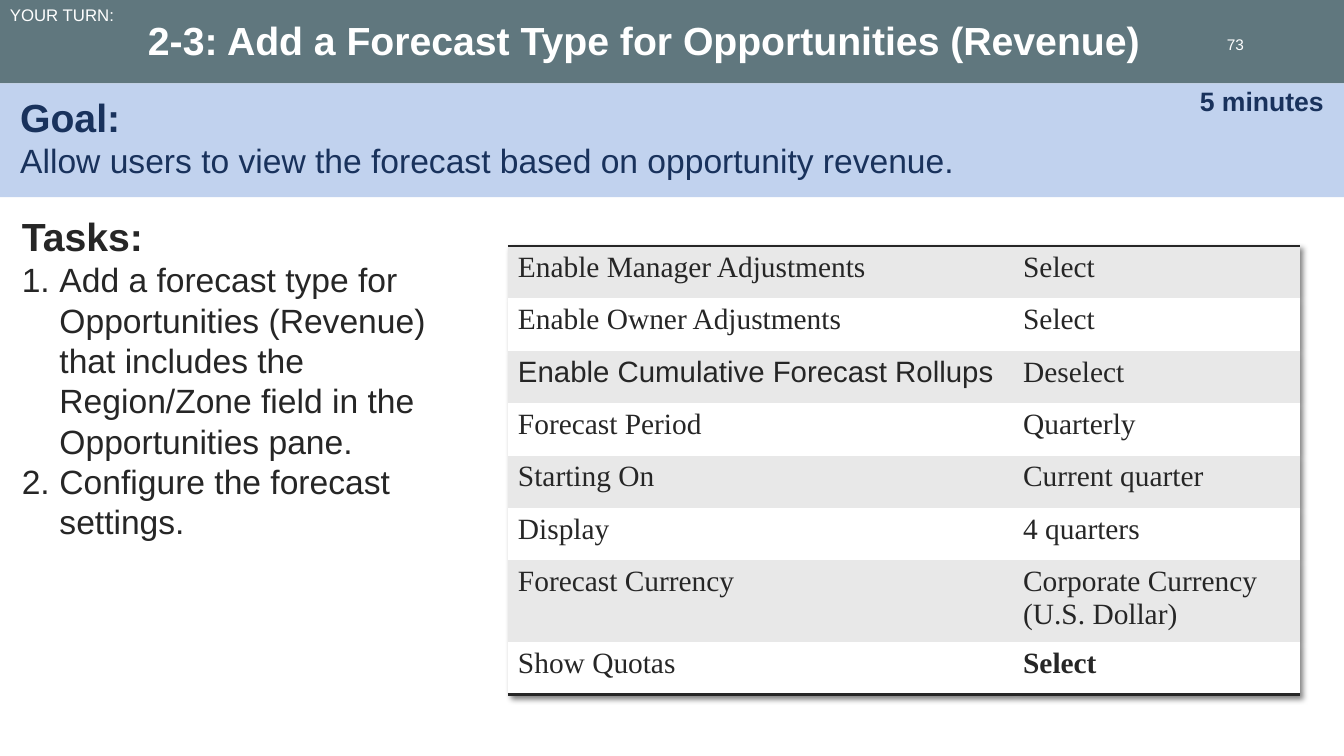
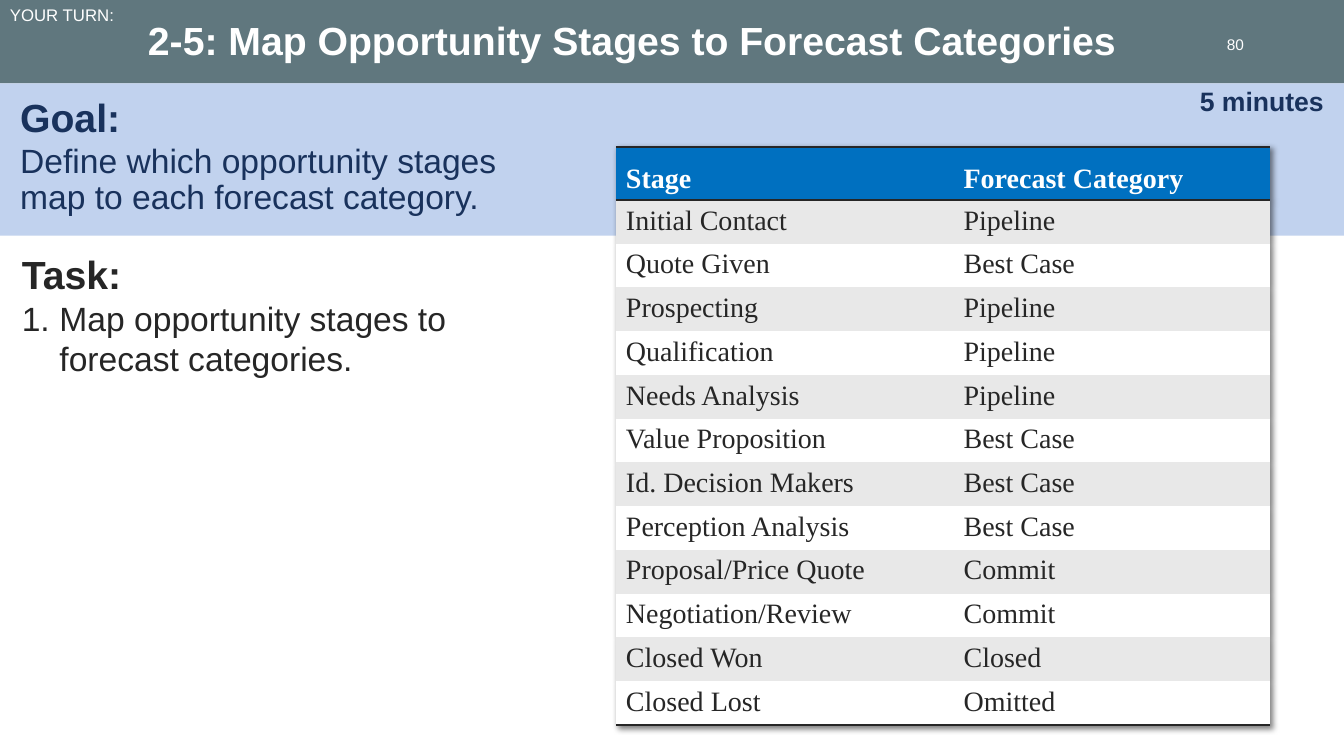
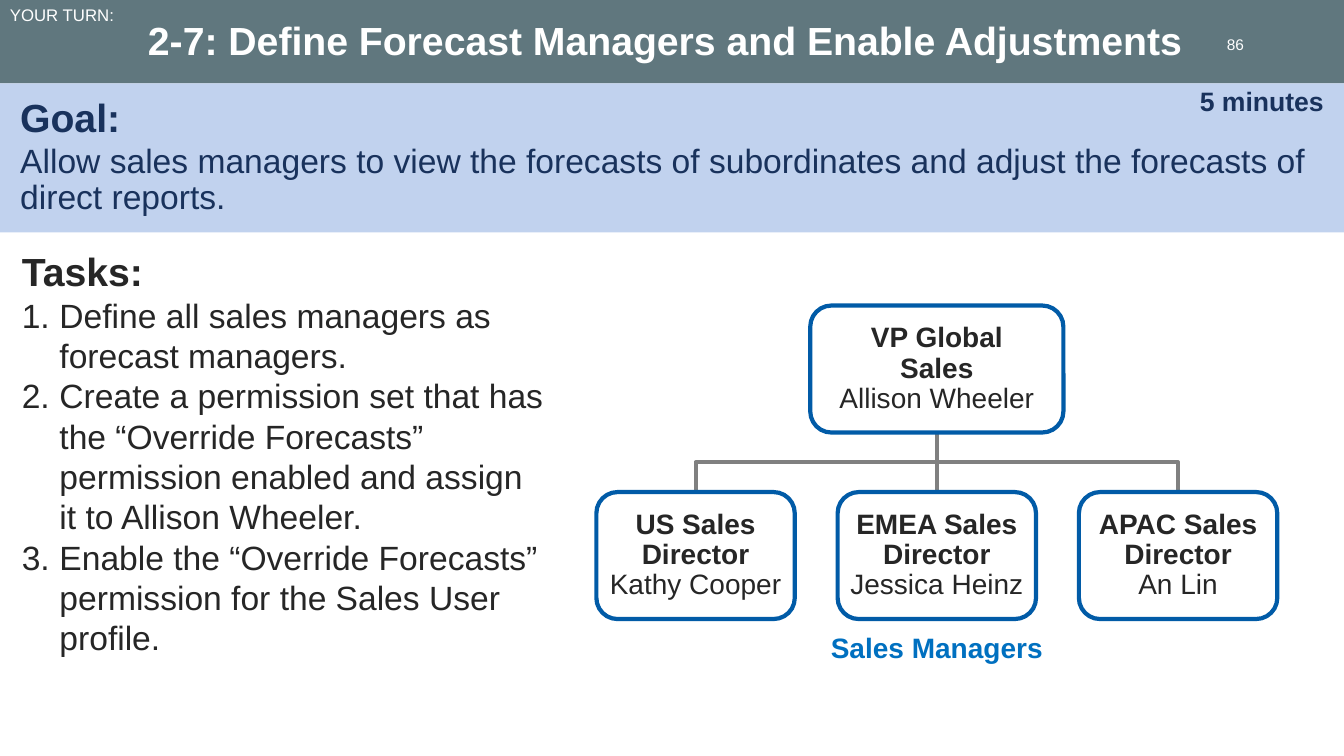
from dataclasses import dataclass
from typing import NamedTuple

from lxml import etree
from pptx import Presentation
from pptx import util as u
from pptx.dml.color import RGBColor
from pptx.enum import shapes, text
from pptx.oxml.ns import qn

SLATE, PALE_BLUE, NAVY = "60777E", "C1D2EE", "19325C"
INK, WHITE, STRIPE = "262626", "FFFFFF", "E8E8E8"
HEADER_BLUE, BOX_BLUE, GREY = "0070C0", "015BA7", "808080"
SANS, SERIF = "Arial", "Times New Roman"
SLIDE_W, SLIDE_H, HEADER_H = 33.87, 19.05, 2.1
NO_STYLE = "{2D5ABB26-0587-4C30-8999-92F81FD0307C}"


class Box(NamedTuple):
    left: float
    top: float
    width: float
    height: float

    def lengths(self):
        return [u.Cm(value) for value in self]

    @property
    def middle(self) -> float:
        return self.left + self.width / 2

    @property
    def bottom(self) -> float:
        return self.top + self.height


@dataclass
class Exercise:
    title: str
    page: str
    goal: str
    goal_height: float
    tasks_heading: str
    tasks: list[str]
    tasks_width: float


@dataclass
class Grid:
    left: float
    top: float
    widths: list[float]
    heights: list[float]
    rows: list[tuple[str, str]]
    size: float
    has_header: bool = False


class Role(NamedTuple):
    post: str
    holder: str
    box: Box
    opacity: int


def rgb(value: str) -> RGBColor:
    return RGBColor.from_string(value)


def add_xml(parent, tag: str, **attributes):
    child = etree.SubElement(parent, qn(tag))
    for key, value in attributes.items():
        child.set(key, str(value))
    return child


def write(frame, content: str, *, size: float, color: str = INK, bold: bool = False,
          font: str = SANS, align=text.PP_ALIGN.LEFT, spacing: float = 1.0,
          before: float = 0, numbered: bool = False) -> None:
    """Fill the empty first paragraph of the frame, or append a new one."""
    first = frame.paragraphs[0]
    paragraph = frame.add_paragraph() if first.runs else first
    paragraph.text = content
    paragraph.alignment = align
    paragraph.line_spacing = spacing
    paragraph.space_before = u.Pt(before)
    if numbered:
        props = paragraph._p.get_or_add_pPr()
        props.set("marL", str(u.Cm(0.95)))
        props.set("indent", str(-u.Cm(0.95)))
        add_xml(props, "a:buFont", typeface="+mj-lt")
        add_xml(props, "a:buAutoNum", type="arabicPeriod")
    for styled in [paragraph, *paragraph.runs]:
        styled.font.name = font
        styled.font.size = u.Pt(size)
        styled.font.bold = bold
        styled.font.color.rgb = rgb(color)


def set_frame(frame, insets, anchor=text.MSO_ANCHOR.TOP, wrap: bool = True):
    """Set the insets (left, top, right, bottom), the anchor and the wrapping."""
    frame.word_wrap = wrap
    frame.vertical_anchor = anchor
    (frame.margin_left, frame.margin_top,
     frame.margin_right, frame.margin_bottom) = [u.Cm(value) for value in insets]
    return frame


def text_area(slide, box: Box, insets=(0.25, 0.13, 0.25, 0.13), **layout):
    return set_frame(slide.shapes.add_textbox(*box.lengths()).text_frame, insets, **layout)


def panel(slide, box: Box, fill: str, kind=shapes.MSO_SHAPE.RECTANGLE,
          outline: str | None = None, opacity: int = 100):
    shape = slide.shapes.add_shape(kind, *box.lengths())
    shape.shadow.inherit = False
    shape.fill.solid()
    shape.fill.fore_color.rgb = rgb(fill)
    if opacity < 100:
        solid = shape.element.spPr.find(qn("a:solidFill"))
        add_xml(solid[0], "a:alpha", val=opacity * 1000)
    if outline:
        shape.line.color.rgb = rgb(outline)
        shape.line.width = u.Pt(3)
    else:
        shape.line.fill.background()
    return shape


def draw_header(slide, exercise: Exercise) -> None:
    middle, right = text.MSO_ANCHOR.MIDDLE, text.PP_ALIGN.RIGHT
    panel(slide, Box(0, 0, SLIDE_W, HEADER_H), SLATE)
    title = text_area(slide, Box(3.48, 0, 26.7, HEADER_H), (0.25, 0.25, 0.25, 0.13),
                      anchor=middle)
    write(title, exercise.title, size=28, color=WHITE, bold=True, spacing=0.85)
    page = text_area(slide, Box(30.25, 0.84, 1.35, 0.56), (0.25, 0, 0.25, 0), anchor=middle)
    write(page, exercise.page, size=11, color=WHITE, align=right)
    your_turn = text_area(slide, Box(0, 0, 3.33, 0.86))
    write(your_turn, "YOUR TURN:", size=12, color=WHITE)


def draw_goal(slide, exercise: Exercise) -> None:
    band = panel(slide, Box(0, HEADER_H, SLIDE_W, exercise.goal_height), PALE_BLUE)
    goal = set_frame(band.text_frame, (0.51, 0.25, 0.51, 0.25))
    write(goal, "Goal:", size=28, color=NAVY, bold=True)
    write(goal, exercise.goal, size=24, color=NAVY, spacing=0.9, before=3)
    duration = text_area(slide, Box(17.2, HEADER_H, SLIDE_W - 17.2, 0.9),
                         (0.25, 0.08, 0.51, 0.08), anchor=text.MSO_ANCHOR.MIDDLE)
    write(duration, "5 minutes", size=19, color=NAVY, bold=True, align=text.PP_ALIGN.RIGHT)


def draw_tasks(slide, exercise: Exercise) -> None:
    top = HEADER_H + exercise.goal_height + 0.25
    tasks = text_area(slide, Box(0.3, top, exercise.tasks_width, 18.85 - top))
    write(tasks, exercise.tasks_heading, size=28, bold=True)
    for task in exercise.tasks:
        write(tasks, task, size=24, numbered=True)


def add_exercise(deck, exercise: Exercise):
    slide = deck.slides.add_slide(deck.slide_layouts[6])
    draw_header(slide, exercise)
    draw_goal(slide, exercise)
    draw_tasks(slide, exercise)
    return slide


def add_rule(cell, tag: str) -> None:
    """Draw one border of a cell; the fill has to be set afterwards."""
    line = add_xml(cell._tc.get_or_add_tcPr(), tag, w=u.Pt(2))
    add_xml(add_xml(line, "a:solidFill"), "a:srgbClr", val=INK)


def add_table_shadow(table) -> None:
    props = table._tbl.tblPr
    props.find(qn("a:tableStyleId")).text = NO_STYLE
    effects = add_xml(props, "a:effectLst")
    shadow = add_xml(effects, "a:outerShdw", blurRad=u.Pt(4), dist=u.Pt(3),
                     dir=2700000, algn="tl", rotWithShape=0)
    add_xml(add_xml(shadow, "a:srgbClr", val="000000"), "a:alpha", val=50000)
    props.insert(0, effects)


def draw_table(slide, grid: Grid) -> None:
    box = Box(grid.left, grid.top, sum(grid.widths), sum(grid.heights))
    table = slide.shapes.add_table(len(grid.rows), len(grid.widths), *box.lengths()).table
    table.first_row = grid.has_header
    table.horz_banding = False
    add_table_shadow(table)
    for column, width in zip(table.columns, grid.widths):
        column.width = u.Cm(width)
    last = len(grid.rows) - 1
    for r, (height, values) in enumerate(zip(grid.heights, grid.rows)):
        table.rows[r].height = u.Cm(height)
        heading = grid.has_header and r == 0
        striped = (r % 2 == 1) if grid.has_header else (r % 2 == 0)
        fill = HEADER_BLUE if heading else STRIPE if striped else WHITE
        for c, value in enumerate(values):
            cell = table.cell(r, c)
            if r == 0:
                add_rule(cell, "a:lnT")
            if heading or r == last:
                add_rule(cell, "a:lnB")
            cell.fill.solid()
            cell.fill.fore_color.rgb = rgb(fill)
            cell.vertical_anchor = text.MSO_ANCHOR.BOTTOM if heading else text.MSO_ANCHOR.TOP
            emphasised = heading or (value == "Select" and r == last)
            write(cell.text_frame, value, size=grid.size, bold=emphasised,
                  color=WHITE if heading else INK,
                  font=SANS if "Cumulative" in value else SERIF)


def draw_branch(slide, upper: Box, lower: Box) -> None:
    """Join two boxes; an elbow is turned so that it leaves downwards."""
    start, end = (upper.middle, upper.bottom), (lower.middle, lower.top)
    run, drop = end[0] - start[0], end[1] - start[1]
    kind, turn = shapes.MSO_CONNECTOR.STRAIGHT, 0
    if abs(run) > 0.1:
        kind, turn = shapes.MSO_CONNECTOR.ELBOW, 90 if run < 0 else 270
        x, y = (start[0] + end[0]) / 2, (start[1] + end[1]) / 2
        side = drop / 2 if run < 0 else -drop / 2
        start, end = (x - side, y - abs(run) / 2), (x + side, y + abs(run) / 2)
    branch = slide.shapes.add_connector(kind, *[u.Cm(value) for value in start + end])
    branch.line.color.rgb = rgb(GREY)
    branch.line.width = u.Pt(3)
    props = branch.element.spPr
    if turn:
        props.find(qn("a:xfrm")).set("rot", str(turn * 60000))
    add_xml(props, "a:effectLst")


def draw_role(slide, role: Role) -> None:
    card = panel(slide, role.box, WHITE, shapes.MSO_SHAPE.ROUNDED_RECTANGLE,
                 BOX_BLUE, role.opacity)
    frame = set_frame(card.text_frame, (0.03,) * 4, text.MSO_ANCHOR.MIDDLE)
    for line, bold in ((role.post, True), (role.holder, False)):
        write(frame, line, size=20, bold=bold, align=text.PP_ALIGN.CENTER, spacing=0.9)


def draw_org_chart(slide) -> None:
    centre, step, width, height, top = 23.61, 6.08, 5.0, 3.2, 12.4
    head = Role("VP Global\nSales", "Allison Wheeler",
                Box(centre - 3.19, 7.7, 6.38, height), 50)
    people = [("US Sales Director", "Kathy Cooper"),
              ("EMEA Sales Director", "Jessica Heinz"),
              ("APAC Sales Director", "An Lin")]
    directors = [Role(post, holder,
                      Box(centre + (i - 1) * step - width / 2, top, width, height), 67)
                 for i, (post, holder) in enumerate(people)]
    for director in directors:
        draw_branch(slide, head.box, director.box)
    for role in [head, *directors]:
        draw_role(slide, role)
    caption = text_area(slide, Box(centre - 2.95, 15.85, 5.9, 1.02), wrap=False)
    write(caption, "Sales Managers", size=20, color=HEADER_BLUE, bold=True,
          align=text.PP_ALIGN.CENTER, spacing=0.9)


FORECAST_TYPE = Exercise(
    "2-3: Add a Forecast Type for Opportunities (Revenue)", "73",
    "Allow users to view the forecast based on opportunity revenue.", 2.87,
    "Tasks:",
    ["Add a forecast type for Opportunities (Revenue) that includes the Region/Zone "
     "field in the Opportunities pane.",
     "Configure the forecast settings."], 12.19)

STAGE_MAPPING = Exercise(
    "2-5: Map Opportunity Stages to Forecast Categories", "80",
    "Define which opportunity stages\nmap to each forecast category.", 3.84,
    "Task:", ["Map opportunity stages to forecast categories."], 13.59)

FORECAST_MANAGERS = Exercise(
    "2-7: Define Forecast Managers and Enable Adjustments", "86",
    "Allow sales managers to view the forecasts of subordinates and adjust the "
    "forecasts of direct reports.", 3.76,
    "Tasks:",
    ["Define all sales managers as forecast managers.",
     "Create a permission set that has the “Override Forecasts” permission enabled "
     "and assign it to Allison Wheeler.",
     "Enable the “Override Forecasts” permission for the Sales User profile."], 13.64)

SETTINGS = Grid(12.8, 6.2, [12.73, 7.22], [1.32] * 6 + [2.06, 1.32], [
    ("Enable Manager Adjustments", "Select"),
    ("Enable Owner Adjustments", "Select"),
    ("Enable Cumulative Forecast Rollups", "Deselect"),
    ("Forecast Period", "Quarterly"),
    ("Starting On", "Current quarter"),
    ("Display", "4 quarters"),
    ("Forecast Currency", "Corporate Currency (U.S. Dollar)"),
    ("Show Quotas", "Select"),
], 21)

STAGES = Grid(15.52, 3.7, [8.51, 7.97], [1.34] + [1.1] * 12, [
    ("Stage", "Forecast Category"),
    ("Initial Contact", "Pipeline"),
    ("Quote Given", "Best Case"),
    ("Prospecting", "Pipeline"),
    ("Qualification", "Pipeline"),
    ("Needs Analysis", "Pipeline"),
    ("Value Proposition", "Best Case"),
    ("Id. Decision Makers", "Best Case"),
    ("Perception Analysis", "Best Case"),
    ("Proposal/Price Quote", "Commit"),
    ("Negotiation/Review", "Commit"),
    ("Closed Won", "Closed"),
    ("Closed Lost", "Omitted"),
], 20, has_header=True)


def main() -> None:
    deck = Presentation()
    deck.slide_width, deck.slide_height = u.Cm(SLIDE_W), u.Cm(SLIDE_H)
    draw_table(add_exercise(deck, FORECAST_TYPE), SETTINGS)
    draw_table(add_exercise(deck, STAGE_MAPPING), STAGES)
    draw_org_chart(add_exercise(deck, FORECAST_MANAGERS))
    deck.save("out.pptx")


if __name__ == "__main__":
    main()
